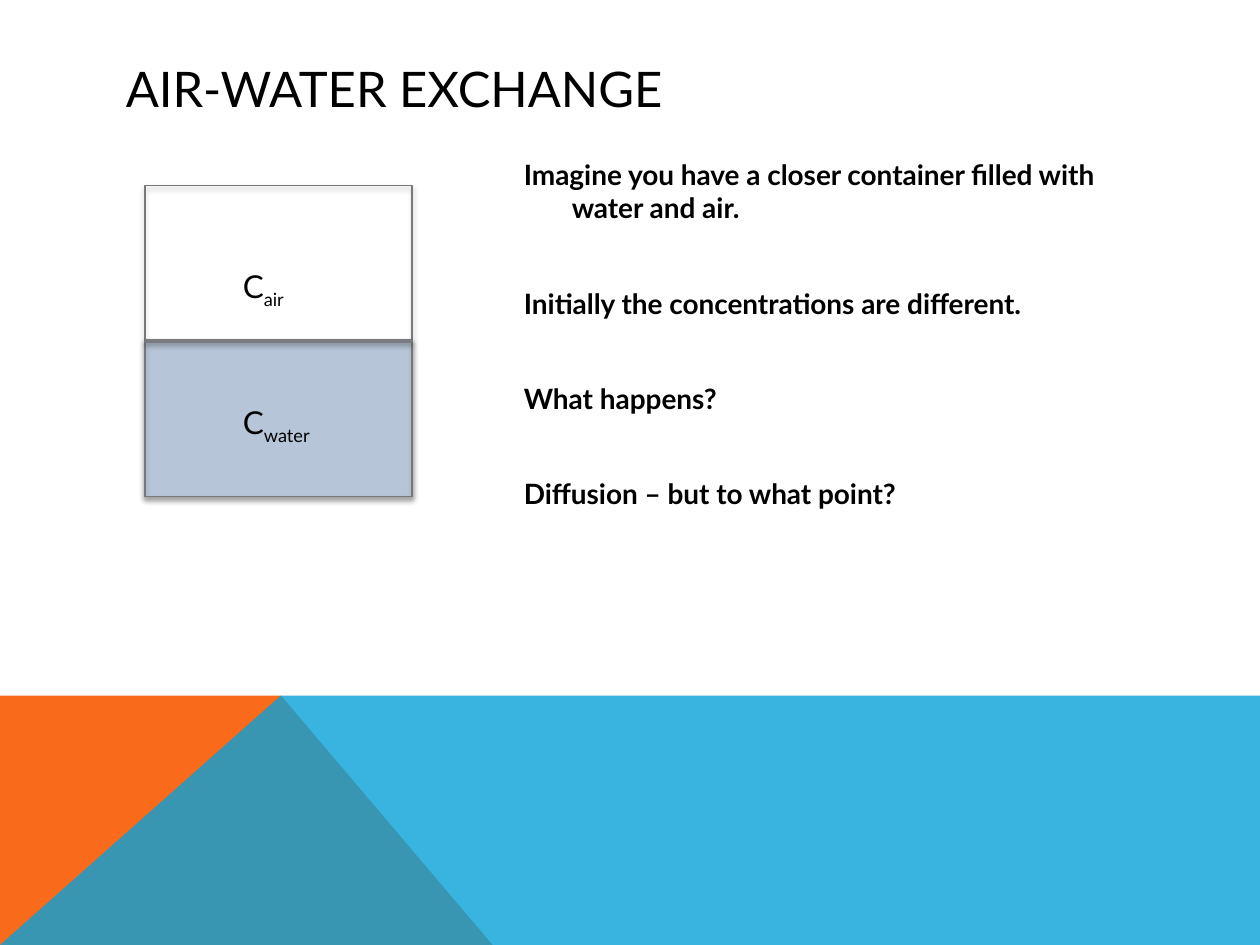
import collections

import lxml.etree
import pptx
import pptx.dml.color
import pptx.enum.shapes
import pptx.enum.text
import pptx.oxml.ns
import pptx.util

Box = collections.namedtuple("Box", "left top width height")
SLIDE = Box(0, 0, pptx.util.Inches(10), pptx.util.Inches(7.5))
QUESTIONS = [
    "Imagine you have a closer container filled with water and air.",
    "Initially the concentrations are different.",
    "What happens?",
    "Diffusion – but to what point?",
]


def part(box, left, top, width, height):
    return Box(
        round(box.left + left * box.width),
        round(box.top + top * box.height),
        round(width * box.width),
        round(height * box.height),
    )


def inches(left, top, width, height):
    return part(SLIDE, left / 10, top / 7.5, width / 10, height / 7.5)


def apply(target, values):
    for name, value in values.items():
        setattr(target, name, value)


def paint(color_format, color):
    color_format.rgb = pptx.dml.color.RGBColor.from_string(color)


def fill_shape(shape, color):
    shape.fill.solid()
    paint(shape.fill.fore_color, color)


def outline(shape, color, width):
    shape.line.width = pptx.util.Pt(width)
    paint(shape.line.color, color)


def add_child(parent, tag, **attributes):
    return lxml.etree.SubElement(parent, pptx.oxml.ns.qn(tag), attributes)


def drop_shadow(shape, distance, opacity):
    effects = add_child(shape._element.spPr, "a:effectLst")
    shadow = add_child(
        effects, "a:outerShdw", blurRad=str(pptx.util.Pt(3.1)),
        dist=str(pptx.util.Pt(distance)), dir="5400000", rotWithShape="0",
    )
    color = add_child(shadow, "a:srgbClr", val="000000")
    add_child(color, "a:alpha", val=str(opacity * 1000))


def add_text_frame(slide, box, **values):
    frame = slide.shapes.add_textbox(*box).text_frame
    apply(frame, {"word_wrap": True, **values})
    return frame


def add_run(paragraph, text, size, bold=False):
    run = paragraph.add_run()
    run.text = text
    apply(run.font, {"name": "Lato", "size": pptx.util.Pt(size), "bold": bold})
    paint(run.font.color, "000000")
    return run


def add_polygon(slide, box, points, color):
    corners = [
        (round(box.left + x * box.width), round(box.top + y * box.height))
        for x, y in points
    ]
    builder = slide.shapes.build_freeform(*corners[0])
    builder.add_line_segments(corners[1:], close=True)
    shape = builder.convert_to_shape()
    shape.shadow.inherit = False
    fill_shape(shape, color)
    shape.line.fill.background()
    return shape


def draw_footer(slide, box):
    peak = (0.223, 0)
    add_polygon(slide, box, [(0, 1), (0, 0), peak, (0.391, 1)], "F96A1B")
    wave = add_polygon(slide, box, [(0, 1), peak, (1, 0), (1, 1)], "08A1D9")
    color = wave._element.spPr.find(".//" + pptx.oxml.ns.qn("a:srgbClr"))
    add_child(color, "a:alpha", val="80000")


def write_title(slide, box):
    frame = add_text_frame(
        slide, box, vertical_anchor=pptx.enum.text.MSO_ANCHOR.MIDDLE
    )
    add_run(frame.paragraphs[0], "AIR-WATER EXCHANGE", 28)


def write_questions(slide, box):
    frame = add_text_frame(slide, box)
    for index, question in enumerate(QUESTIONS):
        paragraph = frame.add_paragraph() if index else frame.paragraphs[0]
        if index:
            paragraph.space_before = pptx.util.Pt(35.2)
        indent = pptx.util.Inches(0.38)
        properties = paragraph._p.get_or_add_pPr()
        properties.set("marL", str(indent))
        properties.set("indent", str(-indent))
        add_run(paragraph, question, 16, bold=True)


def add_layer(slide, box, color=None):
    shape = slide.shapes.add_shape(pptx.enum.shapes.MSO_SHAPE.RECTANGLE, *box)
    if color:
        fill_shape(shape, color)
    else:
        shape.fill.background()
    outline(shape, "76787B", 0.75)
    drop_shadow(shape, 1.8, 35)


def add_concentration(slide, box, medium):
    frame = add_text_frame(slide, box, word_wrap=False)
    paragraph = frame.paragraphs[0]
    add_run(paragraph, "C", 18)
    subscript = add_run(paragraph, medium, 18)
    subscript._r.get_or_add_rPr().set("baseline", "-25000")


def draw_container(slide, box):
    water = part(box, 0, 0.5, 1, 0.5)
    add_layer(slide, water, "B6C5D7")
    add_layer(slide, box)
    surface = slide.shapes.add_connector(
        pptx.enum.shapes.MSO_CONNECTOR.STRAIGHT,
        water.left, water.top, water.left + water.width, water.top,
    )
    outline(surface, "797B7E", 2)
    drop_shadow(surface, 1.6, 38)
    add_concentration(slide, part(box, 0.32, 0.243, 0.255, 0.162), "air")
    add_concentration(slide, part(box, 0.32, 0.68, 0.35, 0.162), "water")


def main():
    presentation = pptx.Presentation()
    apply(presentation, {
        "slide_width": SLIDE.width, "slide_height": SLIDE.height,
    })
    slide = presentation.slides.add_slide(presentation.slide_layouts[6])
    draw_footer(slide, inches(0, 5.52, 10, 1.98))
    write_title(slide, inches(0.9, 0.4, 8.22, 0.6))
    write_questions(slide, inches(4.06, 1.2, 5.06, 3.91))
    draw_container(slide, inches(1.15, 1.47, 2.12, 2.47))
    presentation.save("out.pptx")


if __name__ == "__main__":
    main()
